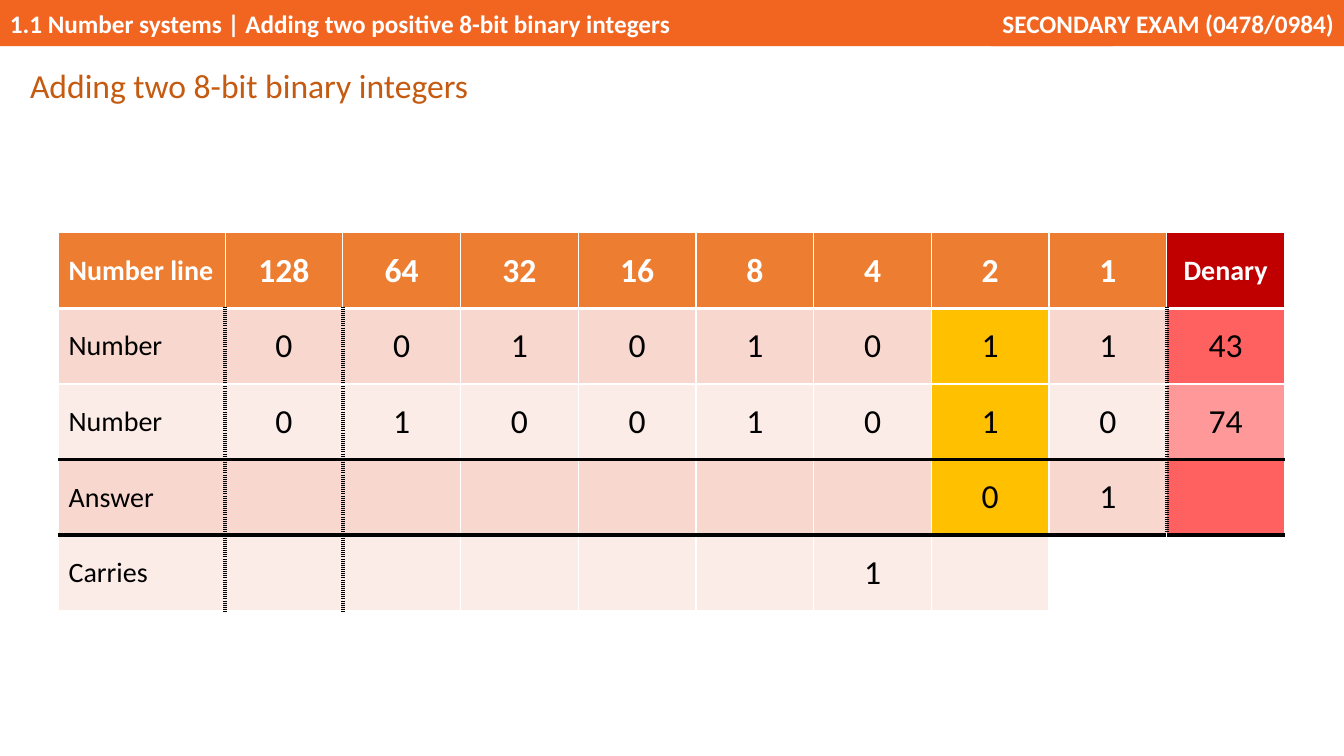
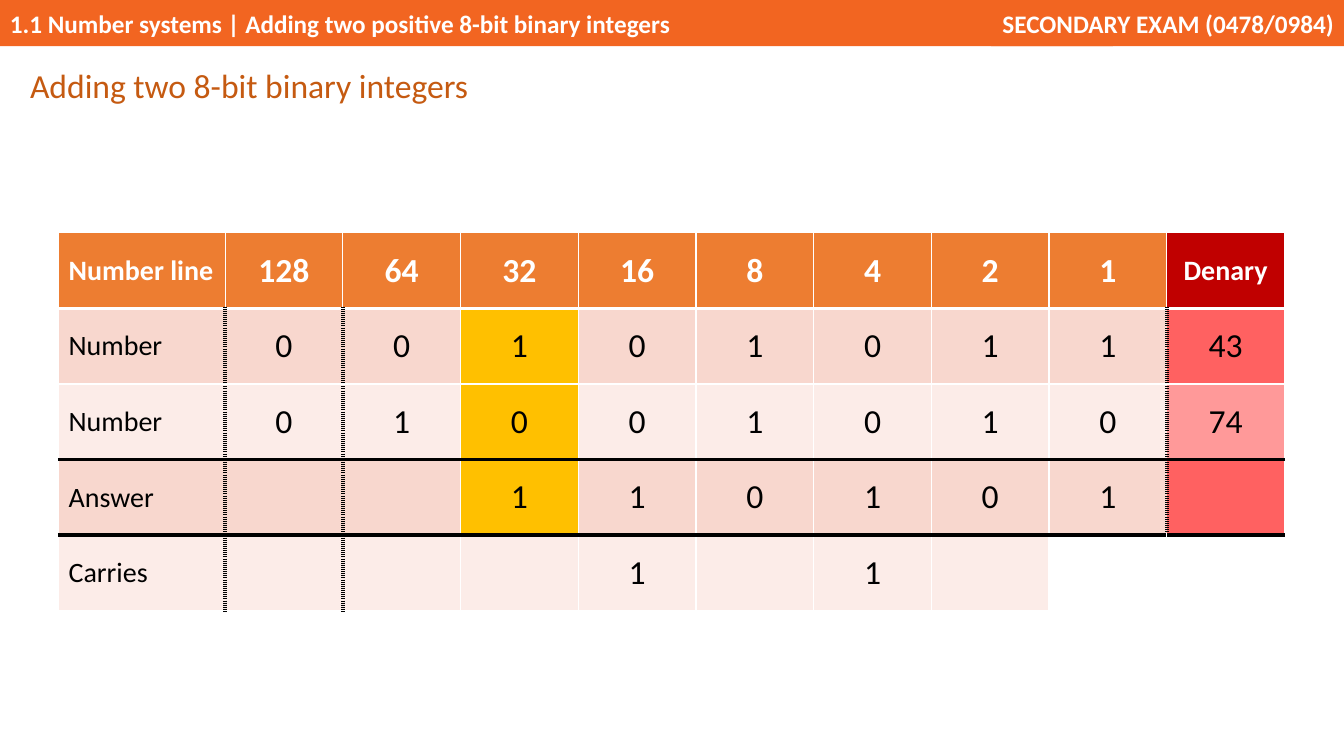
from dataclasses import dataclass

from lxml import etree
from pptx import Presentation
from pptx.dml.color import RGBColor
from pptx.enum.shapes import MSO_SHAPE
from pptx.enum.text import MSO_ANCHOR, MSO_AUTO_SIZE, PP_ALIGN
from pptx.oxml.ns import qn
from pptx.slide import Slide
from pptx.table import _Cell
from pptx.text.text import _Paragraph
from pptx.util import Pt

LEFT, CENTER, RIGHT = PP_ALIGN.LEFT, PP_ALIGN.CENTER, PP_ALIGN.RIGHT
MIDDLE = MSO_ANCHOR.MIDDLE
RECTANGLE = MSO_SHAPE.RECTANGLE
GROW = MSO_AUTO_SIZE.SHAPE_TO_FIT_TEXT

FONT = "Calibri"
COLORS = {
    "band": "F26521",
    "title": "C55A11",
    "header": "ED7D31",
    "denary_header": "C00000",
    "odd": "F8D7CE",
    "even": "FCECE8",
    "denary_odd": "FF6161",
    "denary_even": "FF9999",
    "highlight": "FFC000",
    "white": "FFFFFF",
    "black": "000000",
}

PLACE_VALUES = [str(2 ** power) for power in range(7, -1, -1)]
HEADER = ["Number line", *PLACE_VALUES, "Denary"]
HEADER_ROW, ANSWER_ROW, CARRIES_ROW = 0, 3, 4
DENARY_COLUMN = len(HEADER) - 1
LABEL_WIDTH, BIT_WIDTH, ROW_HEIGHT = 119, 84.1, 54
TABLE_LEFT, TABLE_TOP = 41.8, 166.3


@dataclass(frozen=True)
class Band:
    text: str
    left: float
    width: float
    align: PP_ALIGN


@dataclass(frozen=True)
class Edge:
    color: str = "white"
    width: float = 1
    dash: str = "solid"


@dataclass(frozen=True)
class Step:
    active: str
    answer: str
    carries: str


BANDS = [
    Band("1.1 Number systems | Adding two positive 8-bit binary integers", 0, 795, LEFT),
    Band("SECONDARY EXAM (0478/0984)", 708, 252, RIGHT),
]
THIN = Edge()
WHITE_RULE = Edge(width=3)
BLACK_RULE = Edge("black", 3)
DOTTED = Edge("black", 3, "sysDot")
ROW_EDGES = [THIN, WHITE_RULE, THIN, BLACK_RULE, BLACK_RULE, THIN]

STEPS = [
    Step("2", "......01", ".....1.."),
    Step("32", "..110101", "...1.1.."),
]


def rgb(name: str) -> RGBColor:
    return RGBColor.from_string(COLORS[name])


def style(para: _Paragraph, size: float, color: str, bold: bool = False,
          align: PP_ALIGN = LEFT) -> None:
    para.alignment = align
    para.font.name = FONT
    para.font.size = Pt(size)
    para.font.bold = bold
    para.font.color.rgb = rgb(color)


def add_band(page: Slide, band: Band) -> None:
    box = page.shapes.add_shape(RECTANGLE, Pt(band.left), Pt(0), Pt(band.width), Pt(33))
    box.shadow.inherit = False
    box.fill.solid()
    box.fill.fore_color.rgb = rgb("band")
    box.line.fill.background()
    box.text_frame.text = band.text
    box.text_frame.vertical_anchor = MIDDLE
    style(box.text_frame.paragraphs[0], 18, "white", True, band.align)


def add_title(page: Slide, text: str) -> None:
    box = page.shapes.add_textbox(Pt(14.4), Pt(41), Pt(346), Pt(36.7))
    frame = box.text_frame
    frame.word_wrap = True
    frame.auto_size = GROW
    frame.text = text
    para = frame.paragraphs[0]
    para.line_spacing = 1.07
    para.space_after = Pt(8)
    style(para, 24, "title")


def add_edge(cell: _Cell, side: str, edge: Edge) -> None:
    properties = cell._tc.get_or_add_tcPr()
    line = etree.SubElement(properties, qn(f"a:ln{side}"), w=str(Pt(edge.width)))
    fill = etree.SubElement(line, qn("a:solidFill"))
    etree.SubElement(fill, qn("a:srgbClr"), val=COLORS[edge.color])
    etree.SubElement(line, qn("a:prstDash"), val=edge.dash)


def column_edge(row: int, boundary: int) -> Edge:
    beside_label = boundary in (1, 2) and row > HEADER_ROW
    beside_denary = boundary == DENARY_COLUMN and HEADER_ROW < row < CARRIES_ROW
    return DOTTED if beside_label or beside_denary else THIN


def cell_color(row: int, column: int, active: str) -> str:
    is_denary = column == DENARY_COLUMN
    if row == HEADER_ROW:
        return "denary_header" if is_denary else "header"
    if row == CARRIES_ROW and column >= DENARY_COLUMN - 1:
        return "white"
    if row <= ANSWER_ROW and HEADER[column] == active:
        return "highlight"
    shade = "odd" if row % 2 else "even"
    return f"denary_{shade}" if is_denary else shade


def fill_cell(cell: _Cell, row: int, column: int, text: str, active: str) -> None:
    add_edge(cell, "L", column_edge(row, column))
    add_edge(cell, "R", column_edge(row, column + 1))
    add_edge(cell, "T", ROW_EDGES[row])
    add_edge(cell, "B", ROW_EDGES[row + 1])
    cell.fill.solid()
    cell.fill.fore_color.rgb = rgb(cell_color(row, column, active))
    cell.vertical_anchor = MIDDLE
    cell.text = text
    is_header = row == HEADER_ROW
    is_word = column == 0 or text == HEADER[DENARY_COLUMN]
    style(cell.text_frame.paragraphs[0], 20 if is_word else 24,
          "white" if is_header else "black", is_header, CENTER if column else LEFT)


def bit_row(label: str, bits: str, denary: str = "") -> list[str]:
    return [label, *("" if bit == "." else bit for bit in bits), denary]


def add_sum(page: Slide, step: Step) -> None:
    rows = [
        HEADER,
        bit_row("Number", "00101011", "43"),
        bit_row("Number", "01001010", "74"),
        bit_row("Answer", step.answer),
        bit_row("Carries", step.carries),
    ]
    widths = [LABEL_WIDTH] + [BIT_WIDTH] * DENARY_COLUMN
    table = page.shapes.add_table(
        len(rows), len(HEADER), Pt(TABLE_LEFT), Pt(TABLE_TOP),
        Pt(sum(widths)), Pt(ROW_HEIGHT * len(rows))).table
    table.first_row = False
    table.horz_banding = False
    for column, width in enumerate(widths):
        table.columns[column].width = Pt(width)
    for row, texts in enumerate(rows):
        table.rows[row].height = Pt(ROW_HEIGHT)
        for column, text in enumerate(texts):
            fill_cell(table.cell(row, column), row, column, text, step.active)


def main() -> None:
    deck = Presentation()
    deck.slide_width, deck.slide_height = Pt(960), Pt(540)
    for step in STEPS:
        page = deck.slides.add_slide(deck.slide_layouts[6])
        for band in BANDS:
            add_band(page, band)
        add_sum(page, step)
        add_title(page, "Adding two 8-bit binary integers")
    deck.save("out.pptx")


if __name__ == "__main__":
    main()
